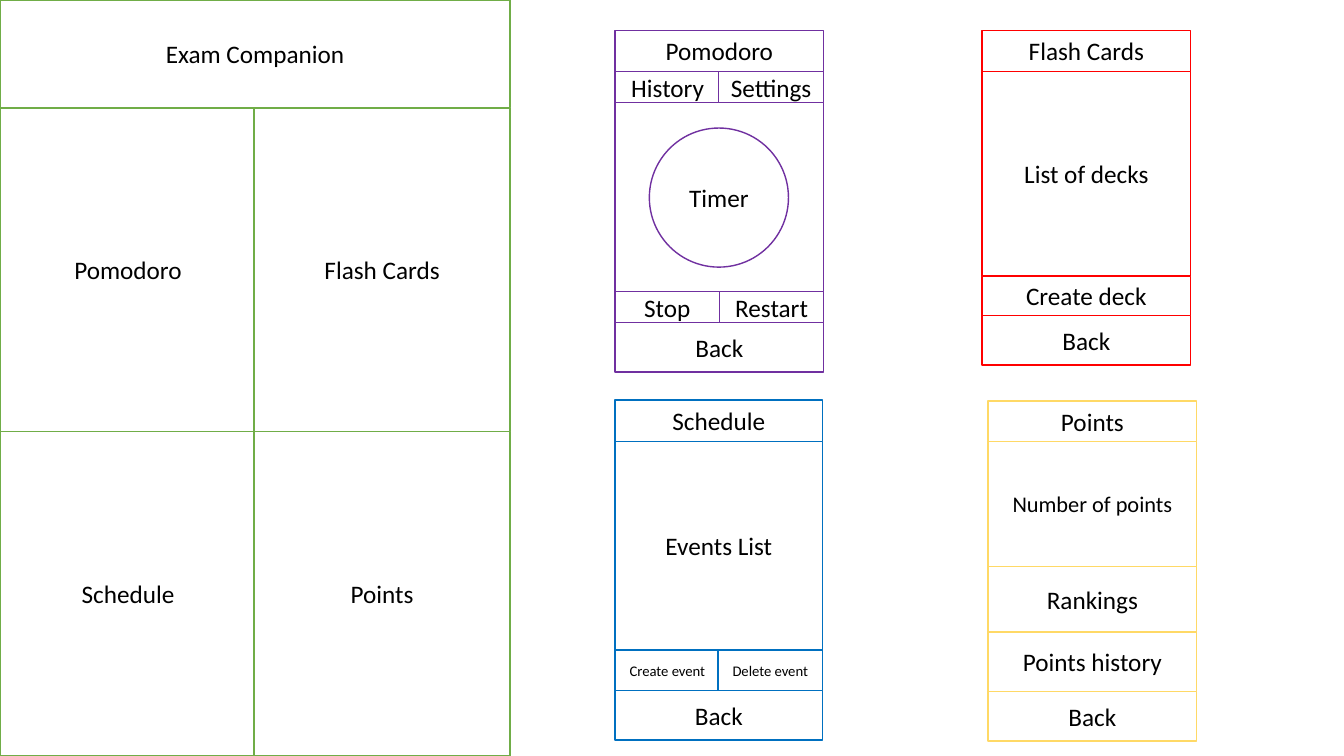
"""Build the wireframe slide of the exam companion app, screen by screen."""
from typing import NamedTuple

from pptx import Presentation
from pptx.dml.color import RGBColor
from pptx.enum.shapes import MSO_SHAPE as Shape
from pptx.enum.text import MSO_ANCHOR as Anchor, PP_ALIGN as Align
from pptx.util import Inches, Pt

UNIT = Inches(0.01)
COLS, ROWS = 1333, 750
WHITE = RGBColor(0xFF, 0xFF, 0xFF)
BLACK = RGBColor(0x00, 0x00, 0x00)
GREEN = RGBColor(0x70, 0xAD, 0x47)
PURPLE = RGBColor(0x70, 0x30, 0xA0)
RED = RGBColor(0xFF, 0x00, 0x00)
BLUE = RGBColor(0x00, 0x70, 0xC0)
YELLOW = RGBColor(0xFF, 0xD9, 0x66)


class Row(NamedTuple):
    height: int
    labels: tuple[str, ...] = ()
    size: float = 18
    overlap: int = 2


class Screen(NamedTuple):
    left: int
    top: int
    width: int
    color: RGBColor
    rows: tuple[Row, ...]


class Box(NamedTuple):
    left: float
    top: float
    width: float
    height: float
    color: RGBColor
    label: str = ""
    size: float = 18
    kind: Shape = Shape.RECTANGLE


HOME = Screen(0, 0, 506, GREEN, (
    Row(107, ("Exam Companion",)),
    Row(321, ("Pomodoro", "Flash Cards")),
    Row(322, ("Schedule", "Points")),
))
FLASH_CARDS = Screen(974, 30, 207, RED, (
    Row(41, ("Flash Cards",)),
    Row(203, ("List of decks",)),
    Row(39, ("Create deck",)),
    Row(49, ("Back",)),
))
POINTS = Screen(980, 398, 207, YELLOW, (
    Row(40, ("Points",)),
    Row(124, ("Number of points",), 16),
    Row(65, ("Rankings",)),
    Row(59, ("Points history",)),
    Row(49, ("Back",)),
))
SCHEDULE = Screen(610, 397, 206, BLUE, (
    Row(41, ("Schedule",)),
    Row(207, ("Events List",)),
    Row(40, ("Create event", "Delete event"), 10.5),
    Row(49, ("Back",)),
))
POMODORO = Screen(610, 30, 207, PURPLE, (
    Row(41, ("Pomodoro",)),
    Row(31, ("History", "Settings")),
    Row(187),
    Row(31, ("Stop", "Restart"), overlap=0),
    Row(49, ("Back",)),
))
TIMER = (
    Box(610, 75, 207, 216, PURPLE),
    Box(644, 127, 138, 138, PURPLE, "Timer", kind=Shape.OVAL),
)


def draw_box(s, box: Box) -> None:
    sp = s.shapes.add_shape(
        box.kind, *(round(n * UNIT) for n in box[:4]))
    sp.shadow.inherit = False
    sp.fill.solid()
    sp.fill.fore_color.rgb = WHITE
    sp.line.color.rgb = box.color
    sp.line.width = Pt(1)
    if not box.label:
        return
    tf = sp.text_frame
    tf.word_wrap = True
    tf.vertical_anchor = Anchor.MIDDLE
    p = tf.paragraphs[0]
    p.alignment = Align.CENTER
    r = p.add_run()
    r.text = box.label
    r.font.name = "Calibri"
    r.font.size = Pt(box.size)
    r.font.color.rgb = BLACK


def draw_screen(s, screen: Screen) -> None:
    top = screen.top
    for row in screen.rows:
        count = len(row.labels)
        for i, label in enumerate(row.labels):
            width = (screen.width + row.overlap * (count - 1)) / count
            left = screen.left + i * (width - row.overlap)
            draw_box(s, Box(left, top, width, row.height,
                            screen.color, label, row.size))
        top += row.height


def main() -> None:
    prs = Presentation()
    prs.slide_width, prs.slide_height = COLS * UNIT, ROWS * UNIT
    s = prs.slides.add_slide(prs.slide_layouts[6])
    for box in TIMER:
        draw_box(s, box)
    for screen in (HOME, FLASH_CARDS, POINTS, SCHEDULE, POMODORO):
        draw_screen(s, screen)
    prs.save("out.pptx")


main()
